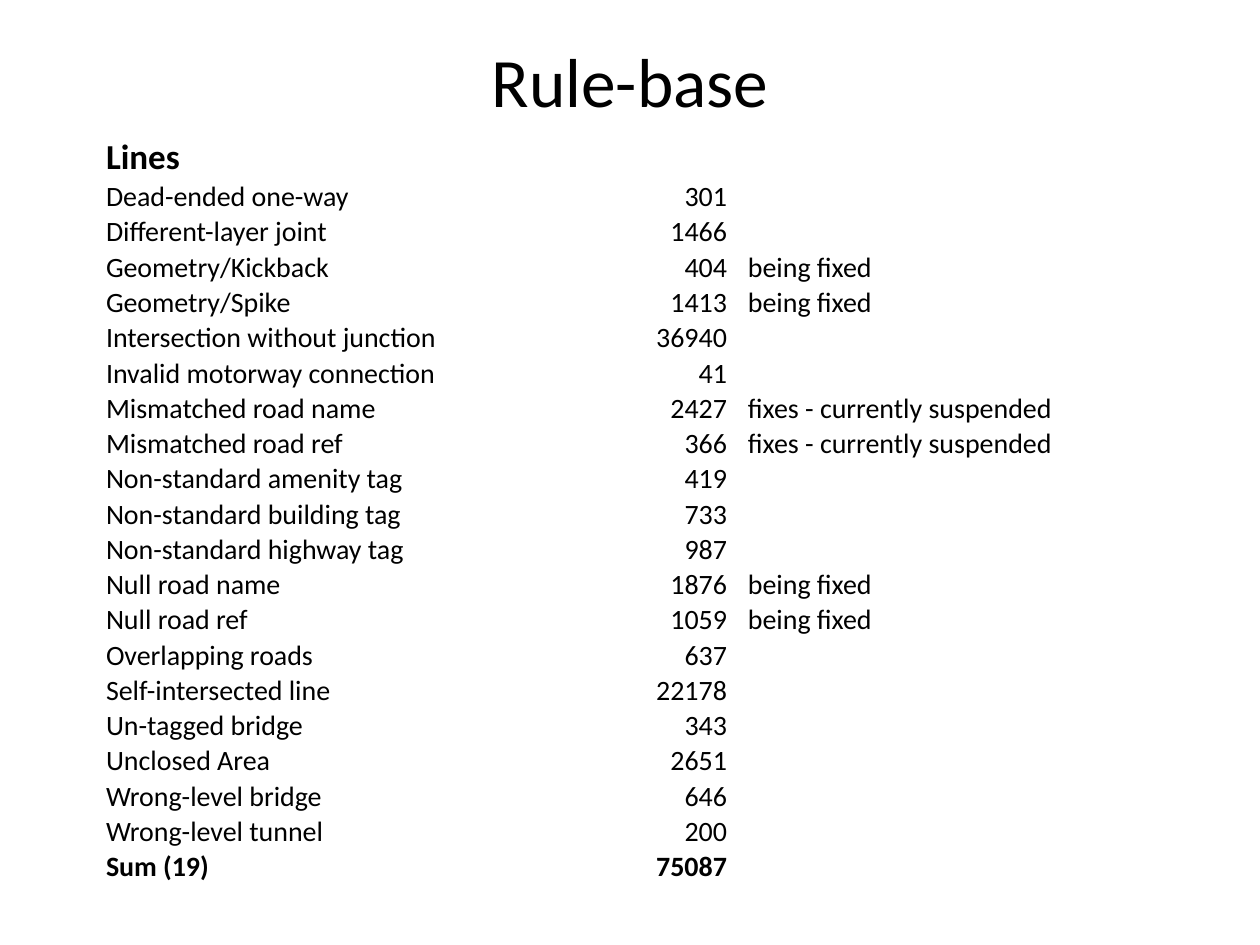
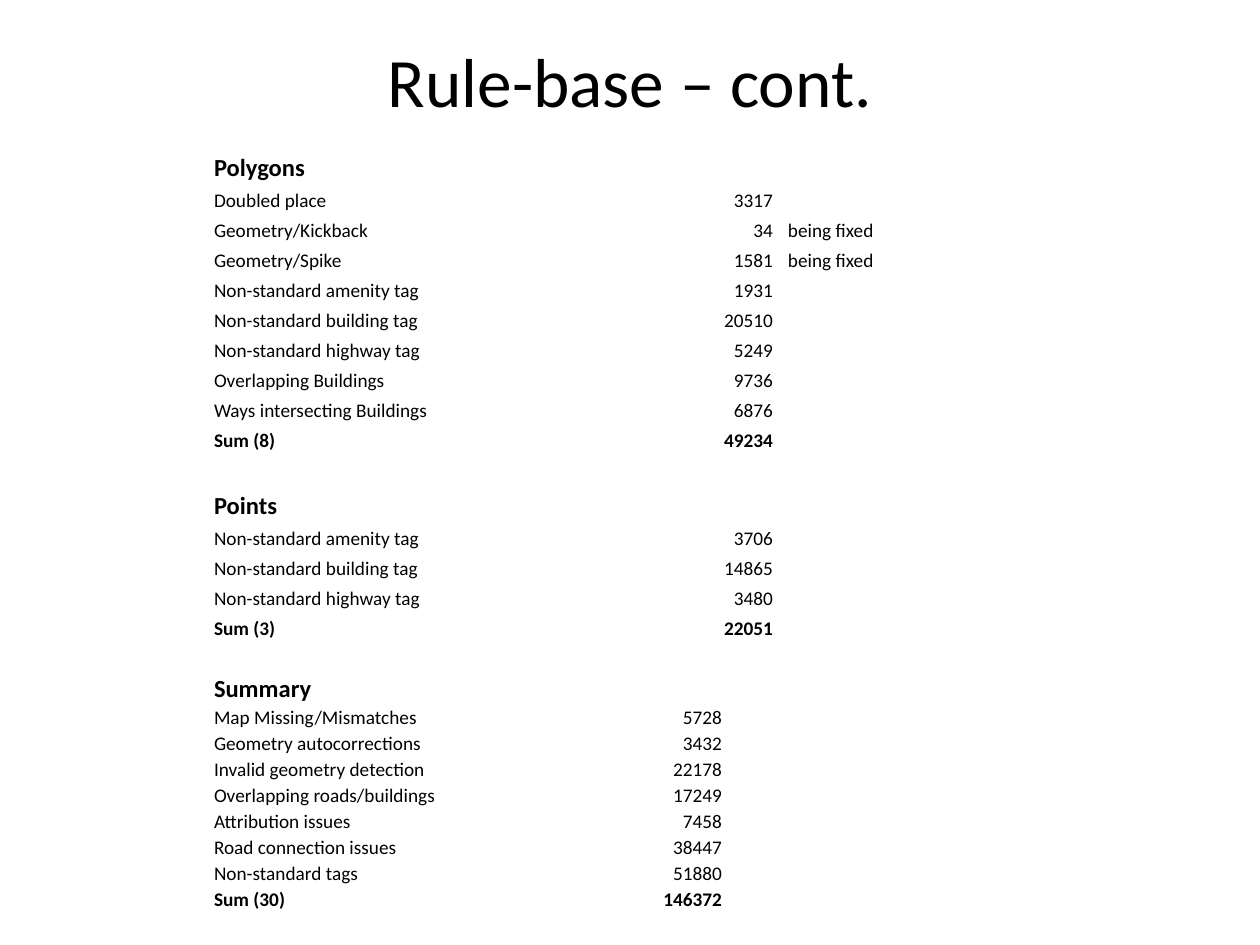
"""Build the two rule-base slides with their error-count tables."""
from pptx import Presentation
from pptx.dml.color import RGBColor
from pptx.enum.text import MSO_ANCHOR, PP_ALIGN
from pptx.oxml.ns import qn
from pptx.util import Pt
from lxml import etree

PX = 914400 // 126
LEFT, RIGHT, CENTER = PP_ALIGN.LEFT, PP_ALIGN.RIGHT, PP_ALIGN.CENTER
TOP, BOTTOM = MSO_ANCHOR.TOP, MSO_ANCHOR.BOTTOM
FONT, TEXT, PAPER = "Calibri", "000000", "FFFFFF"
PLAIN_STYLE = "{2D5ABB26-0587-4C30-8999-92F81FD0307C}"
FIXED, SUSPENDED = "being fixed", "fixes - currently suspended"

LINES = [
    ("Lines",),
    ("Dead-ended one-way", 301),
    ("Different-layer joint", 1466),
    ("Geometry/Kickback", 404, FIXED),
    ("Geometry/Spike", 1413, FIXED),
    ("Intersection without junction", 36940),
    ("Invalid motorway connection", 41),
    ("Mismatched road name", 2427, SUSPENDED),
    ("Mismatched road ref", 366, SUSPENDED),
    ("Non-standard amenity tag", 419),
    ("Non-standard building tag", 733),
    ("Non-standard highway tag", 987),
    ("Null road name", 1876, FIXED),
    ("Null road ref", 1059, FIXED),
    ("Overlapping roads", 637),
    ("Self-intersected line", 22178),
    ("Un-tagged bridge", 343),
    ("Unclosed Area", 2651),
    ("Wrong-level bridge", 646),
    ("Wrong-level tunnel", 200),
    ("Sum (19)", 75087),
]
POLYGONS_AND_POINTS = [
    ("Polygons",),
    ("Doubled place", 3317),
    ("Geometry/Kickback", 34, FIXED),
    ("Geometry/Spike", 1581, FIXED),
    ("Non-standard amenity tag", 1931),
    ("Non-standard building tag", 20510),
    ("Non-standard highway tag", 5249),
    ("Overlapping Buildings", 9736),
    ("Ways intersecting Buildings", 6876),
    ("Sum (8)", 49234),
    (),
    ("Points",),
    ("Non-standard amenity tag", 3706),
    ("Non-standard building tag", 14865),
    ("Non-standard highway tag", 3480),
    ("Sum (3)", 22051),
]
SUMMARY = [
    ("Summary",),
    ("Map Missing/Mismatches", 5728),
    ("Geometry autocorrections", 3432),
    ("Invalid geometry detection", 22178),
    ("Overlapping roads/buildings", 17249),
    ("Attribution issues", 7458),
    ("Road connection issues", 38447),
    ("Non-standard tags", 51880),
    ("Sum (30)", 146372),
]

# x, y, column widths, heading height, row height, heading size, row size, note indent, rows
SLIDES = [
    ("Rule-base", [
        (105, 135, (520, 103, 470), 44, 35, 20, 16, 20, LINES),
    ]),
    ("Rule-base – cont.", [
        (213, 145, (469, 92, 331), 38, 30, 14, 11, 14, POLYGONS_AND_POINTS),
        (213, 671, (426, 84), 33, 26, 14, 11, 14, SUMMARY),
    ]),
]


def rgb(color):
    return RGBColor.from_string(color)


def add_run(p, text, size, bold=False):
    r = p.add_run()
    r.text = text
    r.font.name, r.font.size, r.font.bold = FONT, Pt(size), bold
    r.font.color.rgb = rgb(TEXT)


prs = Presentation()
prs.slide_width, prs.slide_height = 1260 * PX, 945 * PX

for title, tables in SLIDES:
    s = prs.slides.add_slide(prs.slide_layouts[5])
    s.background.fill.solid()
    s.background.fill.fore_color.rgb = rgb(PAPER)

    sp = s.shapes.title
    sp.left, sp.top, sp.width, sp.height = 63 * PX, 38 * PX, 1134 * PX, 157 * PX
    tf = sp.text_frame
    tf.vertical_anchor, tf.margin_top = TOP, 0
    p = tf.paragraphs[0]
    p.alignment = CENTER
    add_run(p, title, 39.6)

    for x, y, widths, head_h, row_h, head_size, size, indent, rows in tables:
        heights = [head_h if len(row) == 1 else row_h for row in rows]
        table = s.shapes.add_table(len(rows), len(widths), x * PX, y * PX,
                                   sum(widths) * PX, sum(heights) * PX).table
        table.first_row = table.horz_banding = False
        table._tbl.tblPr.find(qn("a:tableStyleId")).text = PLAIN_STYLE
        for column, width in zip(table.columns, widths):
            column.width = width * PX

        for i, row in enumerate(rows):
            table.rows[i].height = heights[i] * PX
            heading = len(row) == 1
            bold = heading or (len(row) > 1 and row[0].startswith("Sum ("))
            for j in range(len(widths)):
                cell = table.cell(i, j)
                cell.fill.background()
                cell.vertical_anchor = BOTTOM
                cell.margin_left = (indent if j == 2 else 1) * PX
                cell.margin_right = cell.margin_top = PX
                cell.margin_bottom = 0
                p = cell.text_frame.paragraphs[0]
                p.alignment = RIGHT if j == 1 else LEFT
                if j < len(row):
                    add_run(p, str(row[j]), head_size if heading else size, bold)
                else:
                    etree.SubElement(p._p, qn("a:endParaRPr"), sz=str(size * 100))

prs.save("out.pptx")
